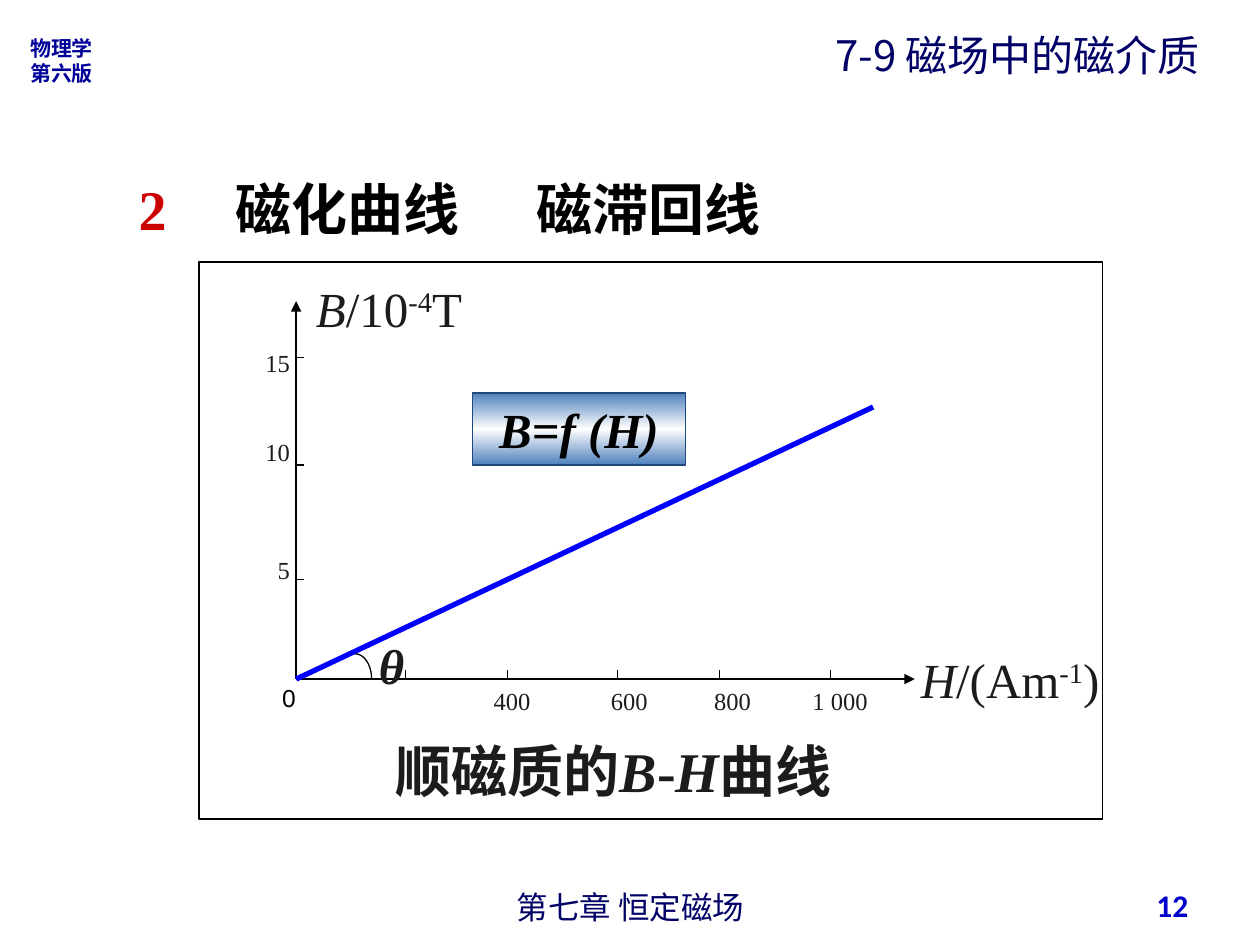
import copy
import math
from pptx import Presentation, util as u
from pptx.dml.color import RGBColor
from pptx.enum import shapes, text
from pptx.oxml import parse_xml
from pptx.oxml.ns import nsdecls, qn
from pptx.oxml.xmlchemy import OxmlElement

THEME = dict(
    serif="Times New Roman", sans="Arial", hei="Noto Sans CJK SC", num="Calibri",
    black="000000", ink="1C1C1C", navy="000066", mark="000099", page="0000CC",
    red="CC0000", curve="0000FF", steel="4F81BD", edge="1F497D", white="FFFFFF",
    tiny=12, tick=14, foot=18, head=24, label=28, big=32, thin=0.75, thick=3,
)
LEFT, MID, RIGHT = (text.PP_ALIGN.LEFT, text.PP_ALIGN.CENTER, text.PP_ALIGN.RIGHT)

# Each run is (words, flags): b bold, i italic, ^ superscript, r red
TITLE = [[("2", "br"), ("\t磁化曲线\t磁滞回线", "b")]]
# Box, paragraphs, font, size, colour, options
LABELS = [
    ((0.14, 0.23, 0.72, 0.5), [[("物理学", "b")], [("第六版", "b")]],
     "hei", "tiny", "mark", dict(line=14.4)),
    ((3.42, 7.05, 3.17, 0.29), [[("第七章 恒定磁场", "")]],
     "sans", "foot", "navy", dict(align=MID)),
    ((6.53, 0.14, 3.49, 0.58), [[("7-9 磁场中的磁介质", "")]],
     "hei", "head", "navy", {}),
    ((7.2, 6.98, 2.33, 0.4), [[("12", "b")]],
     "num", "foot", "page", dict(align=RIGHT)),
    ((2.91, 4.99, 0.4, 0.57), [[("θ", "bi")]],
     "serif", "label", "ink", {}),
    ((3.82, 5.39, 3.17, 0.34), [[("400\t600\t800\t1 000", "")]],
     "serif", "tick", "ink", dict(tabs=(0.93, 1.75, 2.53))),
    ((2.01, 2.6, 0.39, 2.2), [[("15", "")], [("10", "")], [("5", "")]],
     "serif", "tick", "ink", dict(align=RIGHT, gaps=(0, 34, 51))),
    ((7.21, 5.1, 1.61, 0.57), [[("H", "i"), ("/(Am", ""), ("-1", "^"), (")", "")]],
     "serif", "label", "ink", {}),
    ((2.41, 2.16, 1.36, 0.57), [[("B", "i"), ("/10", ""), ("-4", "^"), ("T", "")]],
     "serif", "label", "ink", {}),
    ((3.04, 5.79, 3.87, 0.64),
     [[("顺磁质的", "b"), ("B", "bi"), ("-", "b"), ("H", "bi"), ("曲线", "b")]],
     "serif", "big", "ink", {}),
    ((2.14, 5.37, 0.31, 0.34), [[("0", "")]],
     "sans", "tick", "black", {}),
]
FRAME = (1.58, 2.08, 7.17, 4.42)
FORMULA = (3.75, 3.12, 1.69, 0.57)
ZERO = (2.35, 5.39)
ENDS = dict(h=(7.26, 5.39), b=(2.35, 2.39), curve=(6.93, 3.23))
H_TICKS = (3.22, 4.03, 4.9, 5.71, 6.59)
B_TICKS = (4.6, 3.69, 2.84)
ARC = dict(x=2.82, rx=0.13, ry=0.2, steps=16)


def rgb(name):
    return RGBColor.from_string(THEME[name])


def inch(box):
    return [u.Inches(v) for v in box]


def write(shape, paras, font, size, color, align=LEFT,
          line=None, gaps=None, tabs=()):
    """Fill a shape with text; the inset on the ragged side is dropped."""
    frame = shape.text_frame
    frame.word_wrap = True
    frame.vertical_anchor = text.MSO_ANCHOR.MIDDLE
    if align == LEFT:
        frame.margin_right = 0
    elif align == RIGHT:
        frame.margin_left = 0
    for n, runs in enumerate(paras):
        par = frame.paragraphs[0] if n == 0 else frame.add_paragraph()
        if tabs:
            stops = OxmlElement("a:tabLst")
            for pos in tabs:
                stop = OxmlElement("a:tab")
                stop.set("pos", str(u.Inches(pos)))
                stop.set("algn", "l")
                stops.append(stop)
            par._p.get_or_add_pPr().append(stops)
        par.alignment = align
        par.space_before = u.Pt(gaps[n] if gaps else 0)
        if line:
            par.line_spacing = u.Pt(line)
        for words, flags in runs:
            run = par.add_run()
            run.text = words
            run.font.name = THEME[font]
            run.font.size = u.Pt(THEME[size])
            run.font.bold = "b" in flags
            run.font.italic = "i" in flags
            run.font.color.rgb = rgb("red" if "r" in flags else color)
            props = run._r.get_or_add_rPr()
            east = OxmlElement("a:ea")
            east.set("typeface", THEME["hei"])
            props.find(qn("a:latin")).addnext(east)
            if "^" in flags:
                props.set("baseline", "30000")


def rule(slide, start, end, color="black", width="thin", arrow=False):
    item = slide.shapes.add_connector(
        shapes.MSO_CONNECTOR.STRAIGHT, *inch(start + end))
    item.line.color.rgb = rgb(color)
    item.line.width = u.Pt(THEME[width])
    if arrow:
        item.line._get_or_add_ln().append(
            parse_xml(f'<a:tailEnd {nsdecls("a")} type="triangle"/>'))
    item._element.spPr.append(OxmlElement("a:effectLst"))


def outline(shape, color):
    shape.shadow.inherit = False
    shape.line.color.rgb = rgb(color)
    shape.line.width = u.Pt(THEME["thin"])


def panel(slide, box, color):
    shape = slide.shapes.add_shape(shapes.MSO_SHAPE.RECTANGLE, *inch(box))
    outline(shape, color)
    shape.fill.background()
    return shape


def blend(shape, names):
    """Fill with a vertical gradient of evenly spaced colours."""
    shape.fill.gradient()
    shape.fill.gradient_angle = 90
    stops = shape._element.spPr.find(qn("a:gradFill")).find(qn("a:gsLst"))
    while len(stops) < len(names):
        stops.append(copy.deepcopy(stops[0]))
    for n, (stop, name) in enumerate(zip(shape.fill.gradient_stops, names)):
        stop.position = n / (len(names) - 1)
        stop.color.rgb = rgb(name)


def arc(slide):
    """Quarter ellipse that marks the slope angle."""
    turns = [math.pi / 2 * n / ARC["steps"] for n in range(ARC["steps"] + 1)]
    points = [inch((ARC["x"] + ARC["rx"] * math.sin(t),
                    ZERO[1] - ARC["ry"] * math.cos(t))) for t in turns]
    pen = slide.shapes.build_freeform(*points[0])
    pen.add_line_segments(points[1:], close=False)
    shape = pen.convert_to_shape()
    shape.fill.background()
    outline(shape, "black")


def main():
    deck = Presentation()
    deck.slide_width, deck.slide_height = inch((10, 7.5))
    slide = deck.slides.add_slide(deck.slide_layouts[5])
    panel(slide, FRAME, "black")
    title = slide.shapes.title
    title.left, title.top, title.width, title.height = inch((1, 1.33, 5.99, 0.64))
    write(title, TITLE, "serif", "big", "black", tabs=(0.77, 3.16))

    x, y = ZERO
    rule(slide, ZERO, ENDS["h"], arrow=True)
    rule(slide, ZERO, ENDS["b"], arrow=True)
    rule(slide, ZERO, ENDS["curve"], "curve", "thick")
    for tick in H_TICKS:
        rule(slide, (tick, y - 0.07), (tick, y))
    for tick in B_TICKS:
        rule(slide, (x, tick), (x + 0.06, tick))
    arc(slide)

    formula = panel(slide, FORMULA, "edge")
    blend(formula, ("steel", "white", "steel"))
    write(formula, [[("B=f (H)", "bi")]], "serif", "label", "black", MID)
    for box, paras, font, size, color, more in LABELS:
        write(slide.shapes.add_textbox(*inch(box)), paras, font, size, color, **more)
    deck.save("out.pptx")


if __name__ == "__main__":
    main()
